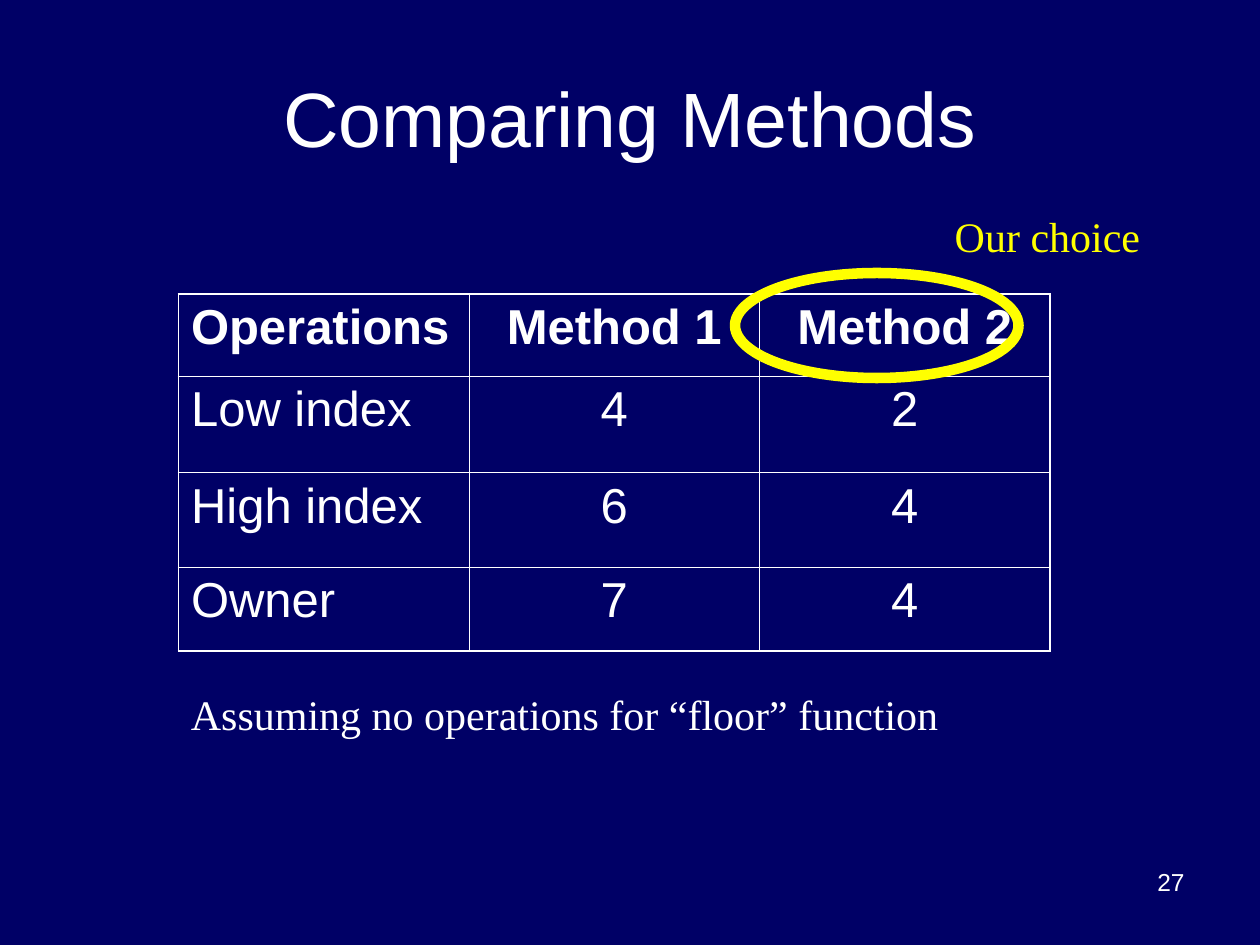
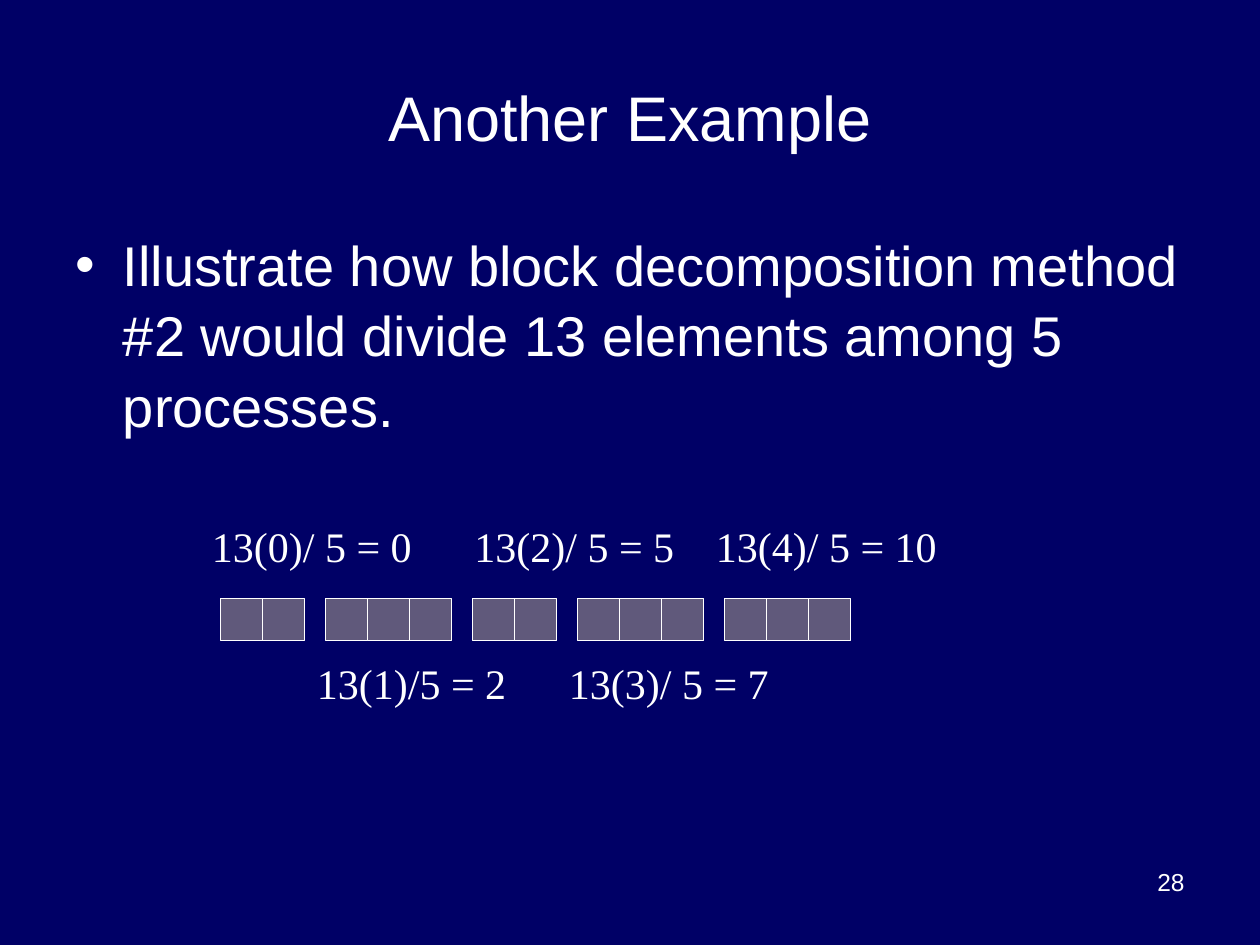
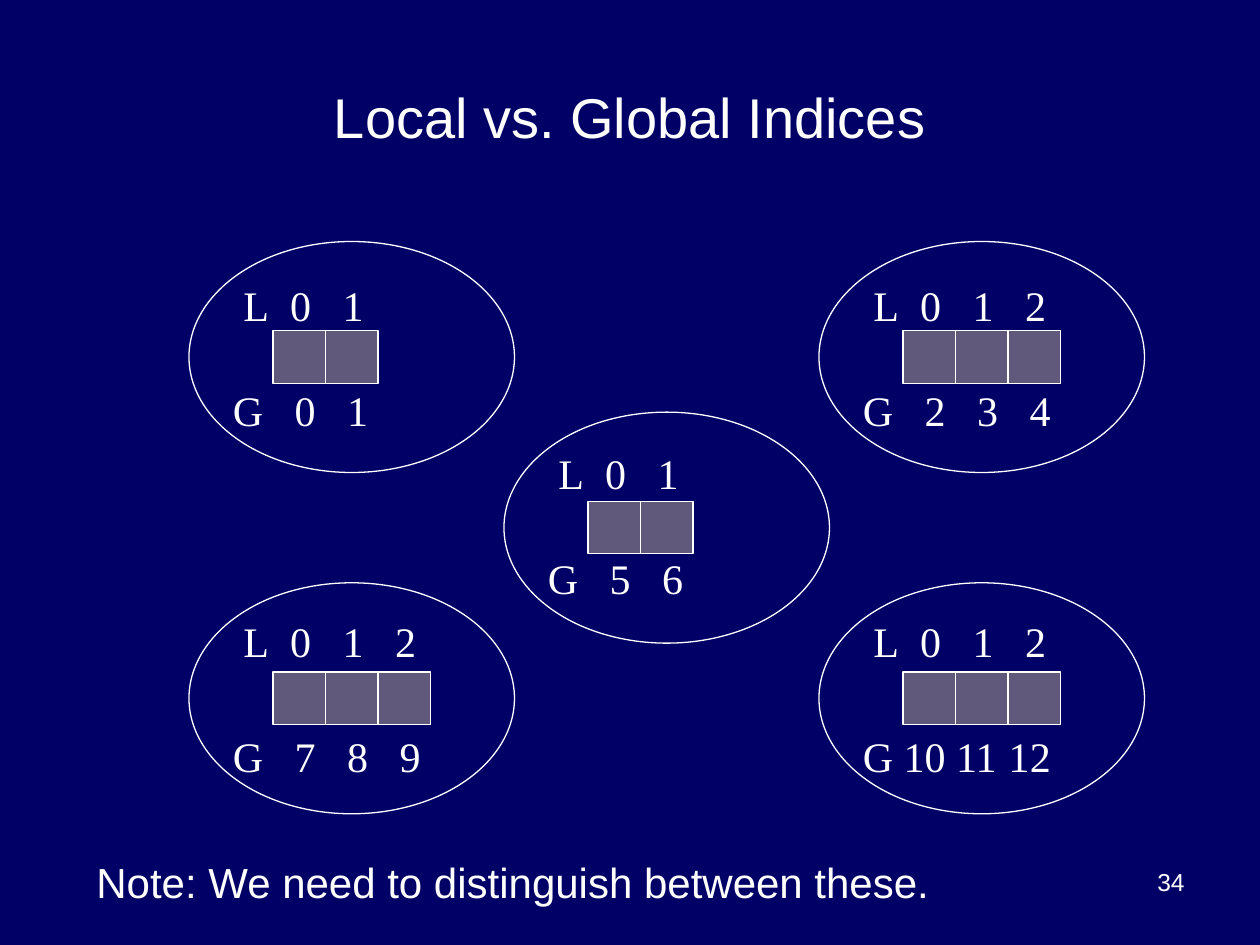
from dataclasses import dataclass

from lxml import etree
from pptx import Presentation
from pptx.dml.color import RGBColor
from pptx.enum.shapes import MSO_SHAPE
from pptx.enum.text import MSO_ANCHOR, MSO_AUTO_SIZE, PP_ALIGN
from pptx.oxml.ns import qn
from pptx.util import Pt

RECT, OVAL = MSO_SHAPE.RECTANGLE, MSO_SHAPE.OVAL
LEFT, CENTER, RIGHT = PP_ALIGN.LEFT, PP_ALIGN.CENTER, PP_ALIGN.RIGHT
MIDDLE = MSO_ANCHOR.MIDDLE
NO_AUTOFIT = MSO_AUTO_SIZE.NONE
LAYOUT_BODY, LAYOUT_TITLE = 1, 5


@dataclass(frozen=True)
class Theme:
    navy: str = "000066"
    white: str = "FFFFFF"
    yellow: str = "FFFF00"
    block: str = "60597B"
    sans: str = "Arial"
    serif: str = "Times New Roman"
    body: int = 32
    table: int = 28
    label: int = 24
    number: int = 14
    thin: float = 0.75
    ring: float = 6
    grid_inner: float = 0.45
    grid_outer: float = 1.08


T = Theme()


def rgb(value):
    return RGBColor.from_string(value)


def place(sp, box):
    sp.left, sp.top, sp.width, sp.height = (Pt(v) for v in box)


def write(p, text, size, font=T.sans, color=T.white, bold=False, align=LEFT):
    p.alignment = align
    p.space_before = Pt(0)
    r = p.add_run()
    r.text = text
    r.font.size = Pt(size)
    r.font.name = font
    r.font.bold = bold
    r.font.color.rgb = rgb(color)


def set_tabs(p, stops):
    tabs = etree.SubElement(p._p.get_or_add_pPr(), qn("a:tabLst"))
    for stop in stops:
        etree.SubElement(tabs, qn("a:tab"), pos=str(Pt(stop)), algn="l")


def add_text(shapes, box, text, size=T.label, font=T.serif, color=T.white,
             align=LEFT, stops=()):
    sp = shapes.add_textbox(*(Pt(v) for v in box))
    tf = sp.text_frame
    tf.word_wrap = True
    p = tf.paragraphs[0]
    if stops:
        set_tabs(p, stops)
    write(p, text, size, font, color, align=align)


def add_outline(shapes, kind, box, color=T.white, width=T.thin, fill=None):
    sp = shapes.add_shape(kind, *(Pt(v) for v in box))
    sp.shadow.inherit = False
    sp.line.color.rgb = rgb(color)
    sp.line.width = Pt(width)
    if fill:
        sp.fill.solid()
        sp.fill.fore_color.rgb = rgb(fill)
    else:
        sp.fill.background()


def add_blocks(shapes, x, y, side, count):
    for i in range(count):
        add_outline(shapes, RECT, (x + i * side, y, side, side), fill=T.block)


def fill_placeholder(sp, box, text, size, align=LEFT):
    place(sp, box)
    tf = sp.text_frame
    tf.word_wrap = True
    tf.auto_size = NO_AUTOFIT
    write(tf.paragraphs[0], text, size, align=align)
    return tf


def add_slide(prs, layout, title, size, number):
    s = prs.slides.add_slide(prs.slide_layouts[layout])
    tf = fill_placeholder(s.shapes.title, (36, 21.6, 648, 90), title, size, CENTER)
    tf.vertical_anchor = MIDDLE
    add_text(s.shapes, (516, 492, 168, 37.5), str(number), T.number, T.sans, align=RIGHT)
    return s


def set_borders(cell, edges):
    tcPr = cell._tc.get_or_add_tcPr()
    for tag, outer in edges:
        width = T.grid_outer if outer else T.grid_inner
        ln = etree.SubElement(tcPr, qn(f"a:{tag}"), w=str(Pt(width)))
        fill = etree.SubElement(ln, qn("a:solidFill"))
        etree.SubElement(fill, qn("a:srgbClr"), val=T.white)


def add_grid(shapes, x, y, col_width, heights, rows):
    n_rows, n_cols = len(rows), len(rows[0])
    frame = shapes.add_table(n_rows, n_cols, Pt(x), Pt(y),
                             Pt(col_width * n_cols), Pt(sum(heights)))
    table = frame.table
    table.first_row = table.horz_banding = False
    for col in table.columns:
        col.width = Pt(col_width)
    for i, (values, height) in enumerate(zip(rows, heights)):
        table.rows[i].height = Pt(height)
        for j, value in enumerate(values):
            cell = table.cell(i, j)
            set_borders(cell, (("lnL", j == 0), ("lnR", j == n_cols - 1),
                               ("lnT", i == 0), ("lnB", i == n_rows - 1)))
            cell.fill.background()
            write(cell.text_frame.paragraphs[0], value, T.table, bold=i == 0,
                  align=CENTER if j else LEFT)


def add_choice(shapes, x, y):
    group = shapes.add_group_shape().shapes
    add_outline(group, OVAL, (x, y + 39, 162, 60), T.yellow, T.ring)
    add_text(group, (x + 118.5, y, 124, 36), "Our choice", color=T.yellow)


def comparison_slide(prs):
    s = add_slide(prs, LAYOUT_TITLE, "Comparing Methods", 44, 27)
    rows = (("Operations", "Method 1", "Method 2"),
            ("Low index", "4", "2"),
            ("High index", "6", "4"),
            ("Owner", "7", "4"))
    add_grid(s.shapes, 102, 168, 166, (46.8, 55.2, 54, 48), rows)
    add_text(s.shapes, (102, 390, 446, 36), "Assuming no operations for “floor” function")
    add_choice(s.shapes, 420, 117)


def add_decomposition(shapes, x, y, elements, labels):
    side, gap = 24, 12
    processes = len(labels)
    group = shapes.add_group_shape().shapes
    for i, (text, shift) in enumerate(labels):
        first = elements * i // processes
        last = elements * (i + 1) // processes
        left = x + first * side + i * gap
        add_blocks(group, left, y, side, last - first)
        label_y = y + 30 if i % 2 else y - 48
        add_text(shapes, (left + shift, label_y, 145, 36), text)


def example_slide(prs):
    s = add_slide(prs, LAYOUT_BODY, "Another Example", 36, 28)
    tf = fill_placeholder(
        s.placeholders[1], (36, 126, 648, 356.4),
        "Illustrate how block decomposition method #2 would divide "
        "13 elements among 5 processes.", T.body)
    tf.paragraphs[0].line_spacing = 1.05
    labels = (("13(0)/ 5 = 0", -12), ("13(1)/5 = 2", -12), ("13(2)/ 5 = 5", -6),
              ("13(3)/ 5 = 7", -12), ("13(4)/ 5 = 10", -12))
    add_decomposition(s.shapes, 126, 342, 13, labels)


def add_process(shapes, x, y, indices, local_y, global_y):
    side = 30
    count = len(indices)
    add_blocks(shapes, x + 48, y + 51, side, count)
    add_outline(shapes, OVAL, (x, y, 186, 132))
    local_text = "\t".join(["L", *map(str, range(count))])
    add_text(shapes, (x + 24, y + local_y, 116, 36), local_text,
             stops=[26.66 + i * side for i in range(count)])
    start = 35.33 if indices[0] < 10 else 23.33
    global_text = "\t".join(["G", *map(str, indices)])
    add_text(shapes, (x + 18, y + global_y, 126, 36), global_text,
             stops=[start + i * side for i in range(count)])


def indices_slide(prs):
    s = add_slide(prs, LAYOUT_TITLE, "Local vs. Global Indices", 32, 34)
    left, center, right = 108, 288, 468
    top, middle, bottom = (138, 18, 78), (235.5, 16.5, 76.5), (333, 15, 81)
    processes = ((left, top, (0, 1)),
                 (right, top, (2, 3, 4)),
                 (center, middle, (5, 6)),
                 (left, bottom, (7, 8, 9)),
                 (right, bottom, (10, 11, 12)))
    for x, (y, local_y, global_y), indices in processes:
        add_process(s.shapes, x, y, indices, local_y, global_y)
    add_text(s.shapes, (48, 486, 588, 36),
             "Note: We need to distinguish between these.", font=T.sans)


def main():
    prs = Presentation()
    prs.slide_width, prs.slide_height = Pt(720), Pt(540)
    fill = prs.slide_master.background.fill
    fill.solid()
    fill.fore_color.rgb = rgb(T.navy)
    comparison_slide(prs)
    example_slide(prs)
    indices_slide(prs)
    prs.save("out.pptx")


if __name__ == "__main__":
    main()
